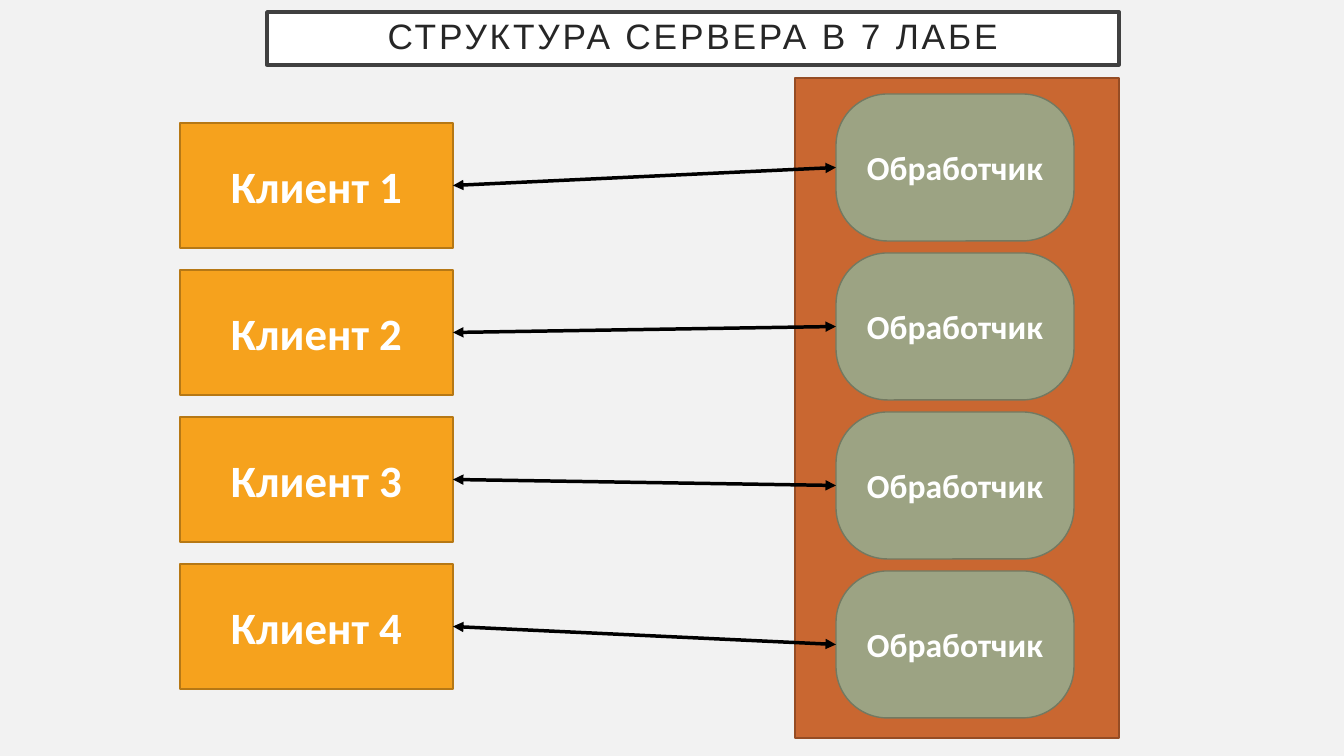
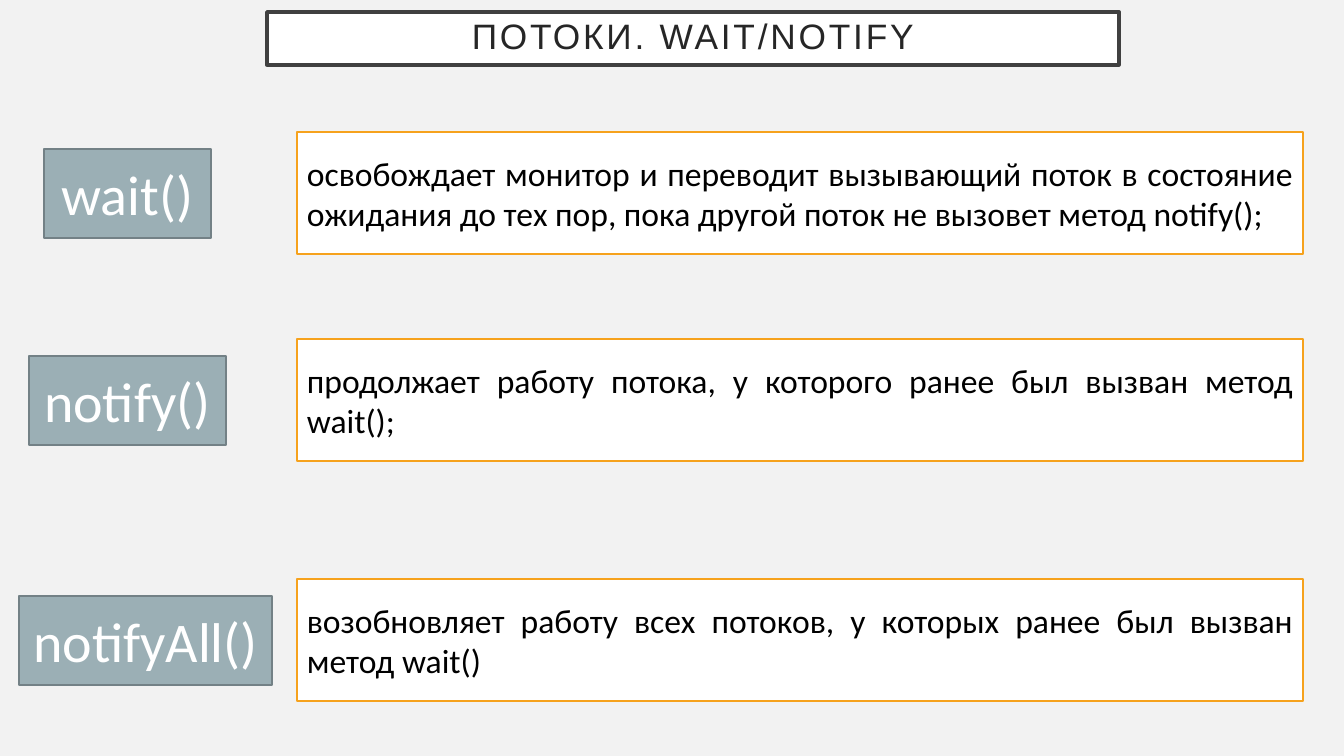
from pptx import Presentation
from pptx.dml.color import RGBColor
from pptx.enum.shapes import MSO_CONNECTOR, MSO_SHAPE
from pptx.enum.text import MSO_ANCHOR, PP_ALIGN
from pptx.oxml.ns import qn
from pptx.util import Pt
from lxml.etree import SubElement

SCALE = 914400 / 100.8
PAPER, WHITE, BLACK, INK, FRAME = "F2F2F2", "FFFFFF", "000000", "262626", "404040"
ORANGE, AMBER, RUST, BROWN = "F6A21D", "B67815", "C96731", "954C24"
SAGE, MOSS, STEEL, SLATE = "9CA383", "737961", "9BAFB5", "738186"


def px(size):
    return round(size * SCALE)


def color(code):
    return RGBColor.from_string(code)


class Deck:
    """Holds the shared style and draws elements on the current slide."""

    def __init__(self):
        self.prs = Presentation()
        self.prs.slide_width, self.prs.slide_height = px(1344), px(756)
        fill = self.prs.slide_master.background.fill
        fill.solid()
        fill.fore_color.rgb = color(PAPER)

    def page(self, title):
        self.slide = self.prs.slides.add_slide(self.prs.slide_layouts[6])
        box = self.box((267, 12, 852, 53), WHITE, FRAME, weight=2.5)
        self.label(box, title, INK, 25.2, name="Arial")
        frame = box.text_frame
        for side in ("left", "top", "right", "bottom"):
            setattr(frame, f"margin_{side}", px(20))
        line = frame.paragraphs[0]
        line.line_spacing = 0.9
        line.runs[0].font._element.set("spc", "200")

    def box(self, area, fill, edge, kind=MSO_SHAPE.RECTANGLE, weight=1):
        shape = self.slide.shapes.add_shape(kind, *map(px, area))
        shape.shadow.inherit = False
        shape.fill.solid()
        shape.fill.fore_color.rgb = color(fill)
        shape.line.color.rgb = color(edge)
        shape.line.width = Pt(weight)
        return shape

    def label(self, shape, text, ink, size, align=PP_ALIGN.CENTER, **style):
        frame = shape.text_frame
        frame.word_wrap = True
        frame.vertical_anchor = MSO_ANCHOR.MIDDLE
        line = frame.paragraphs[0]
        line.alignment = align
        run = line.add_run()
        run.text = text
        run.font.color.rgb = color(ink)
        for key, value in {"name": "Calibri", "size": Pt(size), **style}.items():
            setattr(run.font, key, value)

    def arrow(self, start, end):
        link = self.slide.shapes.add_connector(MSO_CONNECTOR.STRAIGHT, 0, 0, 0, 0)
        link.begin_connect(start, 3)
        link.end_connect(end, 1)
        link.line.color.rgb = color(BLACK)
        link.line.width = Pt(2.5)
        props = link._element.spPr
        for tip in ("a:headEnd", "a:tailEnd"):
            SubElement(props.find(qn("a:ln")), qn(tip), type="triangle")
        SubElement(props, qn("a:effectLst"))


deck = Deck()

deck.page("СТРУКТУРА СЕРВЕРА В 7 ЛАБЕ")
deck.box((795, 78, 324, 660), RUST, BROWN)
for row in range(4):
    client = deck.box((180, 123 + 147 * row, 273, 125), ORANGE, AMBER)
    deck.label(client, f"Клиент {row + 1}", WHITE, 32, bold=True)
    worker = deck.box((836, 94 + 159 * row, 238, 147), SAGE, MOSS,
                      MSO_SHAPE.ROUNDED_RECTANGLE)
    worker.adjustments[0] = 0.35
    deck.label(worker, "Обработчик", WHITE, 24, bold=True)
    deck.arrow(client, worker)

deck.page("ПОТОКИ. WAIT/NOTIFY")
METHODS = [
    ("wait()", 44, 167, 132,
     "освобождает монитор и переводит вызывающий поток в состояние "
     "ожидания до тех пор, пока другой поток не вызовет метод notify();"),
    ("notify()", 29, 197, 339,
     "продолжает работу потока, у которого ранее был вызван метод wait();"),
    ("notifyAll()", 19, 253, 579,
     "возобновляет работу всех потоков, у которых ранее был вызван метод wait()"),
]
for name, left, width, top, note in METHODS:
    card = deck.box((297, top, 1006, 122), WHITE, ORANGE)
    deck.label(card, note, BLACK, 24, PP_ALIGN.JUSTIFY)
    badge = deck.box((left, top + 17, width, 89), STEEL, SLATE)
    deck.label(badge, name, WHITE, 40)

deck.prs.save("out.pptx")
